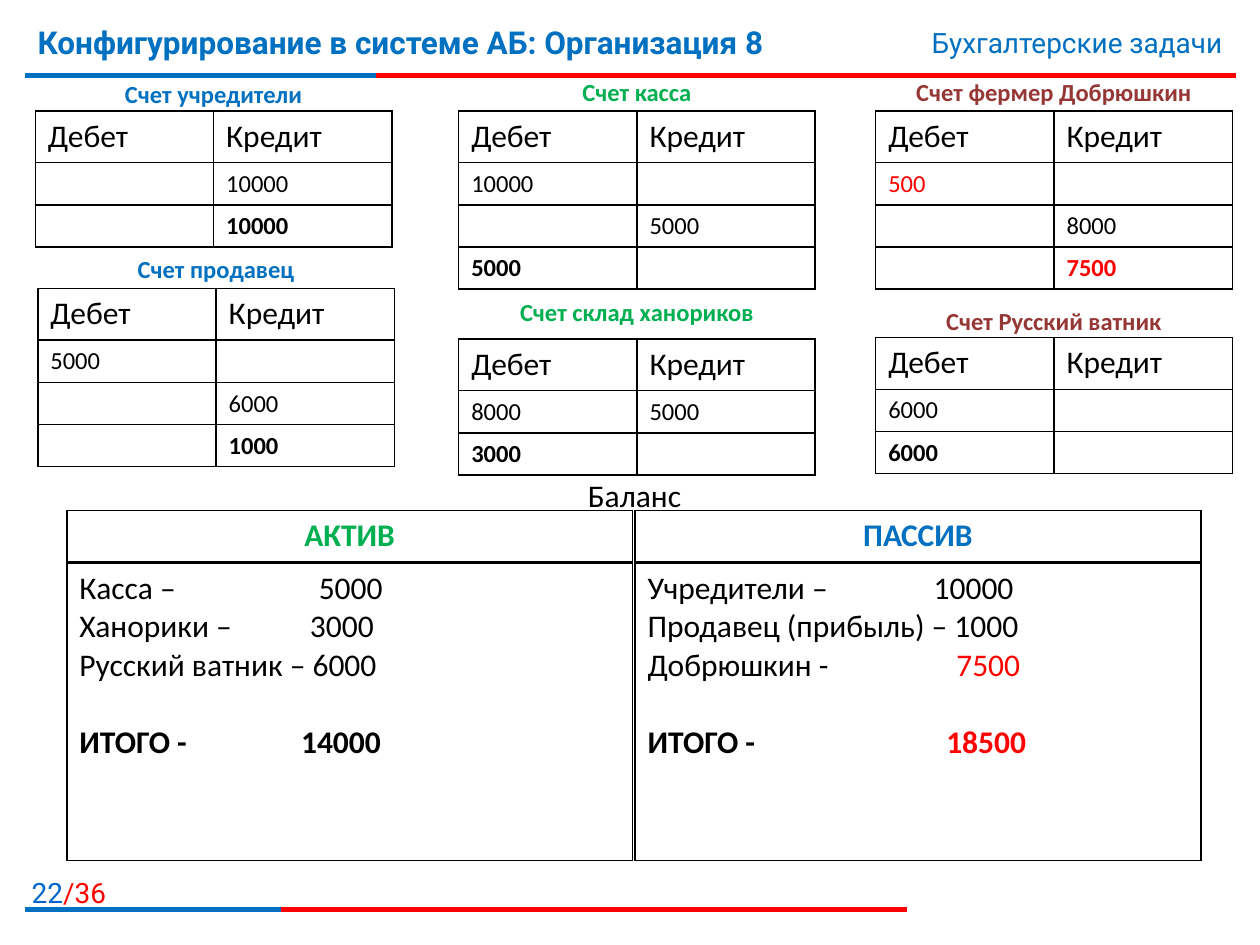
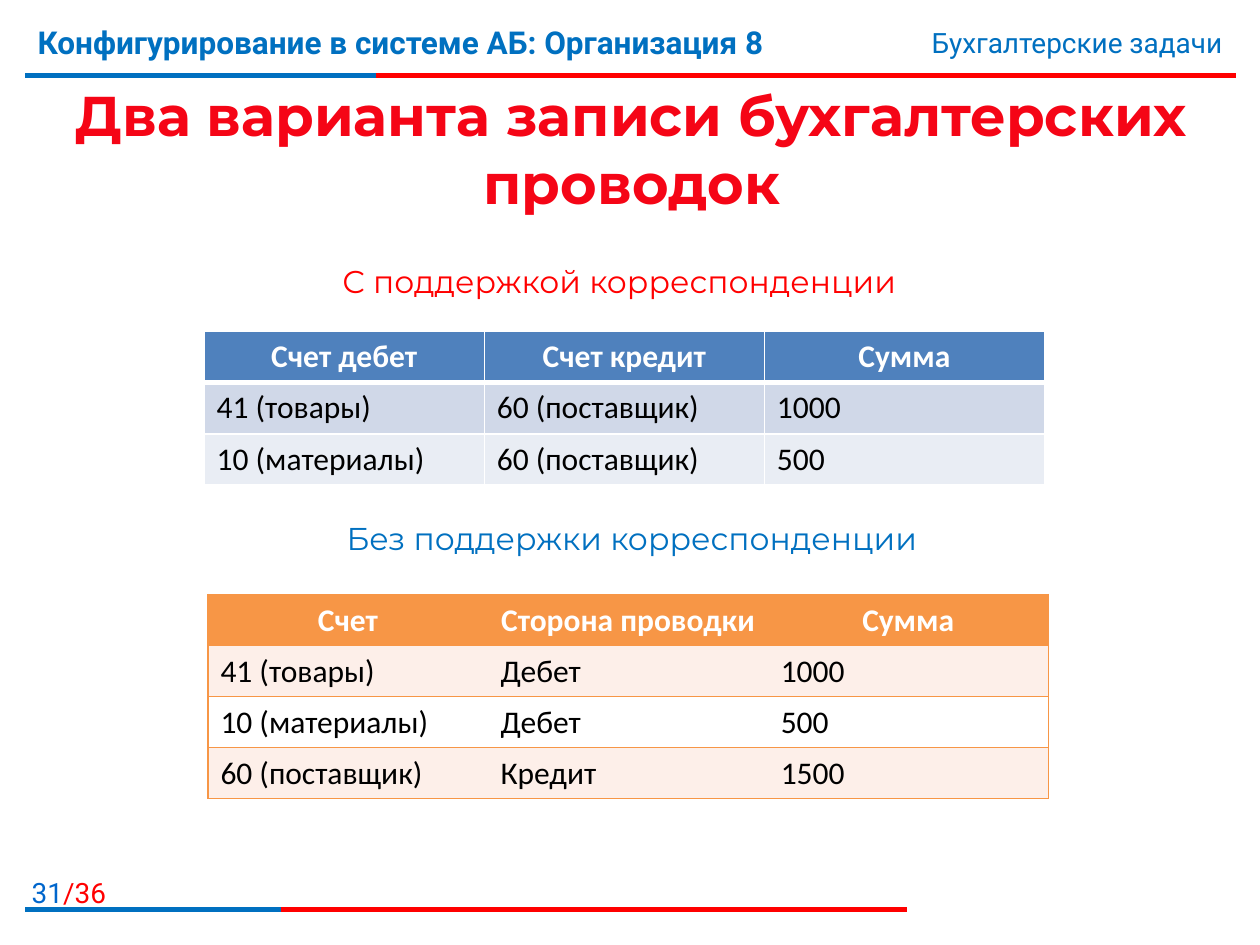
from collections import namedtuple
from dataclasses import dataclass
from lxml.etree import SubElement
from pptx import Presentation
from pptx.dml.color import RGBColor
from pptx.enum.shapes import MSO_CONNECTOR
from pptx.enum.text import MSO_ANCHOR, PP_ALIGN
from pptx.oxml.ns import qn
from pptx.util import Inches, Pt


@dataclass(frozen=True)
class Theme:
    """Colours, fonts and type sizes shared by the slides."""
    blue: str = "0070C0"
    page: str = "0066CC"
    red: str = "FF0000"
    green: str = "00B050"
    brown: str = "953735"
    black: str = "000000"
    white: str = "FFFFFF"
    sky: str = "4F81BD"
    orange: str = "F79646"
    rose: str = "F50516"
    wine: str = "C00000"
    body: str = "Calibri"
    head: str = "Roboto"
    show: str = "Montserrat"
    huge: int = 32
    large: int = 18
    mid: int = 16
    small: int = 14


T = Theme()
COLS, ROWS = 100, 75
STEP = Inches(10) / COLS
HEAD, LINE, PITCH = 4.1, 3.3, 3.35  # account rows, in grid rows
LEFT, MID, RIGHT = PP_ALIGN.LEFT, PP_ALIGN.CENTER, PP_ALIGN.RIGHT
Box = namedtuple("Box", "x y w h")
Word = namedtuple("Word", "text color bold size font",
                  defaults=(T.black, False, T.large, T.body))


def grid(*units):
    """Turn grid units into slide lengths."""
    return [round(unit * STEP) for unit in units]


def tint(code):
    """Make a colour from its hex code."""
    return RGBColor.from_string(code)


def write(par, words, align=LEFT):
    """Add words to a paragraph, run by run."""
    par.alignment = align
    for word in words:
        run = par.add_run()
        run.text = word.text
        font = run.font
        font.name, font.size, font.bold = word.font, Pt(word.size), word.bold
        font.color.rgb = tint(word.color)


def label(slide, box, words, align=MID):
    """Place one line of text in a box."""
    frame = slide.shapes.add_textbox(*grid(*box)).text_frame
    frame.word_wrap = True
    write(frame.paragraphs[0], words, align)
    return frame


def rule(slide, box, share):
    """Draw a red rule whose first share is blue."""
    group = slide.shapes.add_group_shape()
    for color, part in ((T.red, 1), (T.blue, share)):
        line = group.shapes.add_connector(
            MSO_CONNECTOR.STRAIGHT,
            *grid(box.x, box.y, box.x + box.w * part, box.y))
        line.line.color.rgb = tint(color)
        line.line.width = Pt(3)
        SubElement(line._element.spPr, qn("a:effectLst"))


def frame_page(slide, box, number):
    """Add the header, footer and page number."""
    rule(slide, Box(box.x + 2, box.y + 6, 96.1, 0), 0.29)
    rule(slide, Box(box.x + 2, box.y + 72.2, 70, 0), 0.29)
    label(slide, Box(box.x, box.y + 69, 9.4, 3.2),
          [Word(number, T.page, False, T.mid, T.head),
           Word("/36", T.red, False, T.mid, T.head)], RIGHT)
    label(slide, Box(box.x + 2, box.y + 1.3, 74, 6.2),
          [Word("Конфигурирование в системе АБ: Организация 8",
                T.blue, True, T.large, T.head)], LEFT)
    label(slide, Box(box.x + 59.4, box.y + 1.5, 38.6, 3.7),
          [Word("Бухгалтерские задачи", T.blue, False, T.mid, T.head)], RIGHT)


def edge(cell, side, color, width=1):
    """Set one cell border; no colour means no line."""
    line = SubElement(cell._tc.get_or_add_tcPr(), qn("a:ln" + side),
                      w=str(Pt(width)))
    if color:
        fill = SubElement(line, qn("a:solidFill"))
        SubElement(fill, qn("a:srgbClr"), val=color)
    else:
        SubElement(line, qn("a:noFill"))


def table(slide, box, rows, cols):
    """Add a table with equal rows and no style bands."""
    shape = slide.shapes.add_table(rows, cols, *grid(*box))
    made = shape.table
    made.first_row = made.horz_banding = False
    for col in made.columns:
        col.width = grid(box.w / cols)[0]
    for row in made.rows:
        row.height = grid(box.h / rows)[0]
    return made


def strip(slide, box, words, align=LEFT):
    """Add a ruled table row; None leaves a cell empty."""
    made = table(slide, box, 1, len(words))
    for cell, word in zip(made.iter_cells(), words):
        for side in "LRTB":
            edge(cell, side, T.black)
        cell.fill.background()
        par = cell.text_frame.paragraphs[0]
        if word:
            write(par, [word], align)
        else:
            SubElement(par._p, qn("a:endParaRPr"), sz=str(T.small * 100))
    return made


def account(slide, box, name, color, rise, rows):
    """Stack a title, a heading and entry rows; the last row is the total."""
    label(slide, Box(box.x, box.y - rise, box.w, 3.4),
          [Word(name, color, True, T.small)])
    strip(slide, Box(box.x, box.y, box.w, HEAD),
          [Word("Дебет"), Word("Кредит")])
    for i, row in enumerate(rows):
        last = i == len(rows) - 1
        words = [Word(text, shade, last, T.small) if text else None
                 for text, shade in row]
        strip(slide, Box(box.x, box.y + HEAD + i * PITCH, box.w, LINE), words)


def side(slide, box, name, color, items):
    """Draw one side of the balance, amounts on tab stops."""
    strip(slide, Box(box.x, box.y, box.w, HEAD),
          [Word(name, color, True)], MID)
    body = strip(slide, Box(box.x, box.y + HEAD + 0.1, box.w,
                            box.h - HEAD - 0.1), [None])
    text = body.cell(0, 0).text_frame
    for i, (item, stop, value, shade) in enumerate(items):
        par = text.add_paragraph() if i else text.paragraphs[0]
        last = i == len(items) - 1
        if last:
            par.space_before = Pt(22)
        write(par, [Word(item + ("\t" if stop else " "), T.black, last),
                    Word(value, shade, last)])
        if stop:
            tabs = SubElement(par._p.get_or_add_pPr(), qn("a:tabLst"))
            SubElement(tabs, qn("a:tab"), pos=str(grid(stop)[0]), algn="l")


def debit(text, color=T.black):
    """Make an entry row on the debit side."""
    return (text, color), (None, color)


def credit(text, color=T.black):
    """Make an entry row on the credit side."""
    return (None, color), (text, color)


def ledger(slide, box):
    """Fill the page with six accounts and the balance."""
    first, second, third = 2.8, 36.4, 69.5
    both = (("8000", T.black), ("5000", T.black))
    for x, y, name, color, rise, rows in (
        (first, 8.8, "Счет учредители", T.blue, 3,
         [credit("10000"), credit("10000")]),
        (second, 8.8, "Счет касса", T.green, 3.2,
         [debit("10000"), credit("5000"), debit("5000")]),
        (third, 8.8, "Счет фермер Добрюшкин", T.brown, 3.2,
         [debit("500", T.red), credit("8000"), credit("7500", T.red)]),
        (first + 0.2, 22.9, "Счет продавец", T.blue, 3.2,
         [debit("5000"), credit("6000"), credit("1000")]),
        (second, 26.9, "Счет склад ханориков", T.green, 3.8,
         [both, debit("3000")]),
        (third, 26.8, "Счет Русский ватник", T.brown, 3,
         [debit("6000"), debit("6000")]),
    ):
        account(slide, Box(box.x + x, box.y + y, 28.3, 18),
                name, color, rise, rows)
    label(slide, Box(box.x + 5.4, box.y + 37.3, 89.9, 4), [Word("Баланс")])
    half = Box(box.x + 5.3, box.y + 40.5, 44.9, 27.8)
    side(slide, half, "АКТИВ", T.green, [
        ("Касса –", 19, "5000", T.black),
        ("Ханорики –", 18.3, "3000", T.black),
        ("Русский ватник –", 0, "6000", T.black),
        ("ИТОГО -", 17.6, "14000", T.black)])
    side(slide, half._replace(x=half.x + 45.1), "ПАССИВ", T.blue, [
        ("Учредители –", 22.7, "10000", T.black),
        ("Продавец (прибыль) –", 0, "1000", T.black),
        ("Добрюшкин -", 24.5, "7500", T.red),
        ("ИТОГО -", 23.7, "18500", T.red)])


def title(slide, box, text):
    """Set a large title with a gradient and a thin white outline."""
    frame = label(slide, box, [Word(text, T.rose, True, T.huge, T.show)])
    frame.vertical_anchor = MSO_ANCHOR.MIDDLE
    font = frame.paragraphs[0].runs[0].font
    font.fill.gradient()
    font.fill.gradient_angle = 270
    looks = ((0.55, T.rose), (0.86, T.wine))
    for stop, (place, color) in zip(font.fill.gradient_stops, looks):
        stop.position = place
        stop.color.rgb = tint(color)
    marks = frame.paragraphs[0].runs[0]._r.get_or_add_rPr()
    line = SubElement(marks, qn("a:ln"), w=str(Pt(0.75)))
    fill = SubElement(line, qn("a:solidFill"))
    SubElement(fill, qn("a:srgbClr"), val=T.white)
    marks.insert(0, line)


def entries(slide, box, rows, head, bands, border, inner):
    """Draw a banded table of entries with a coloured heading."""
    made = table(slide, box, len(rows), len(rows[0]))
    final = len(rows[0]) - 1
    for r, row in enumerate(rows):
        for c, text in enumerate(row):
            cell = made.cell(r, c)
            edge(cell, "L", border if c == 0 else inner)
            edge(cell, "R", border if c == final else inner)
            edge(cell, "T", border, 3 if inner and r == 1 else 1)
            edge(cell, "B", border, 3 if inner and r == 0 else 1)
            cell.fill.solid()
            cell.fill.fore_color.rgb = tint(bands[(r - 1) % 2] if r else head)
            word = Word(text) if r else Word(text, T.white, True)
            write(cell.text_frame.paragraphs[0], [word], LEFT if r else MID)


def options(slide, box):
    """Fill the page with the two ways to record entries."""
    title(slide, Box(box.x + 2.1, box.y + 6.3, 96.1, 10.9),
          "Два варианта записи бухгалтерских проводок")
    goods, stock, seller = "41 (товары)", "10 (материалы)", "60 (поставщик)"
    label(slide, Box(box.x + 15.9, box.y + 20.3, 66.5, 4),
          [Word("С поддержкой корреспонденции", T.red, font=T.show)])
    entries(slide, Box(box.x + 16.2, box.y + 26.3, 66.7, 12.2),
            [("Счет дебет", "Счет кредит", "Сумма"),
             (goods, seller, "1000"), (stock, seller, "500")],
            T.sky, ("D0D8E8", "E9EDF4"), T.white, T.white)
    label(slide, Box(box.x + 16.9, box.y + 40.7, 66.5, 4),
          [Word("Без поддержки корреспонденции", T.blue, font=T.show)])
    entries(slide, Box(box.x + 16.5, box.y + 47.2, 66.7, 16.2),
            [("Счет", "Сторона проводки", "Сумма"),
             (goods, "Дебет", "1000"), (stock, "Дебет", "500"),
             (seller, "Кредит", "1500")],
            T.orange, ("FDEFE9", T.white), T.orange, None)


def main():
    """Build both slides and save the deck."""
    deck = Presentation()
    deck.slide_width, deck.slide_height = grid(COLS, ROWS)
    full = Box(0, 0, COLS, ROWS)
    for number, fill in (("22", ledger), ("31", options)):
        slide = deck.slides.add_slide(deck.slide_layouts[6])
        frame_page(slide, full, number)
        fill(slide, full)
    deck.save("out.pptx")


main()
